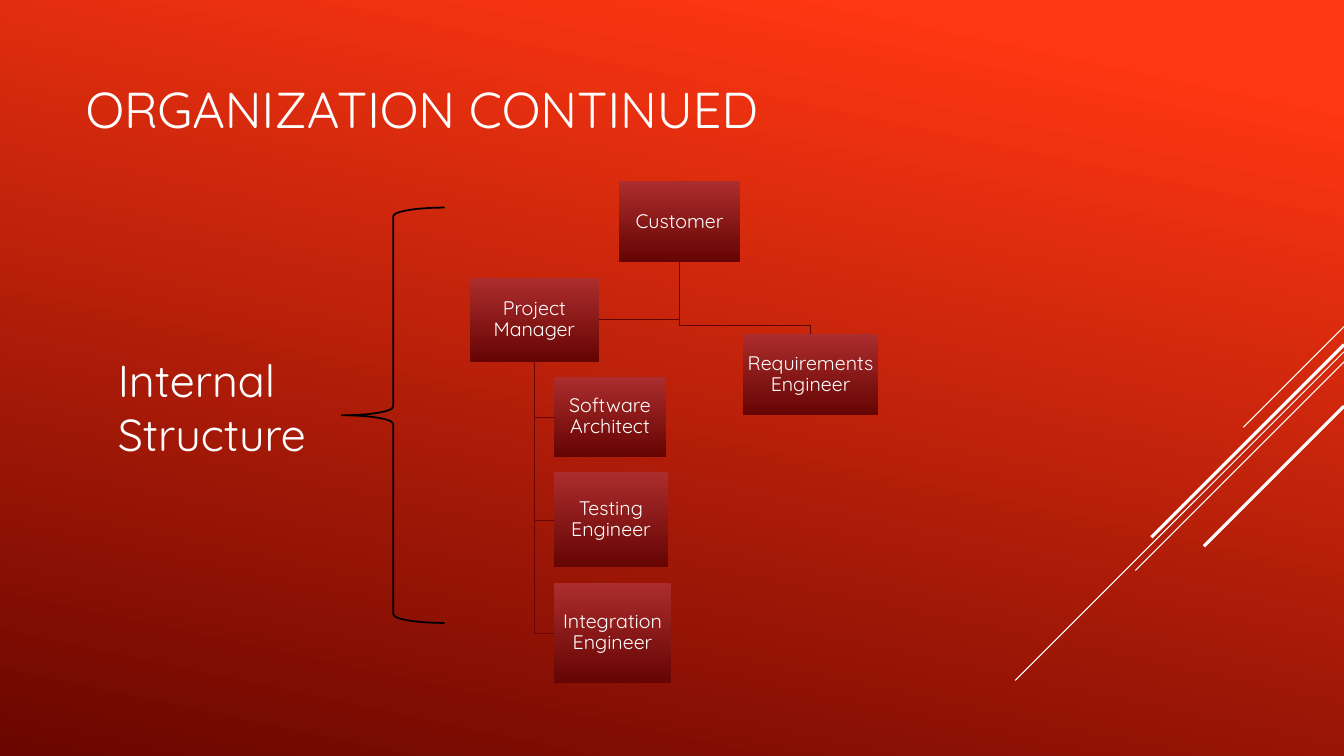
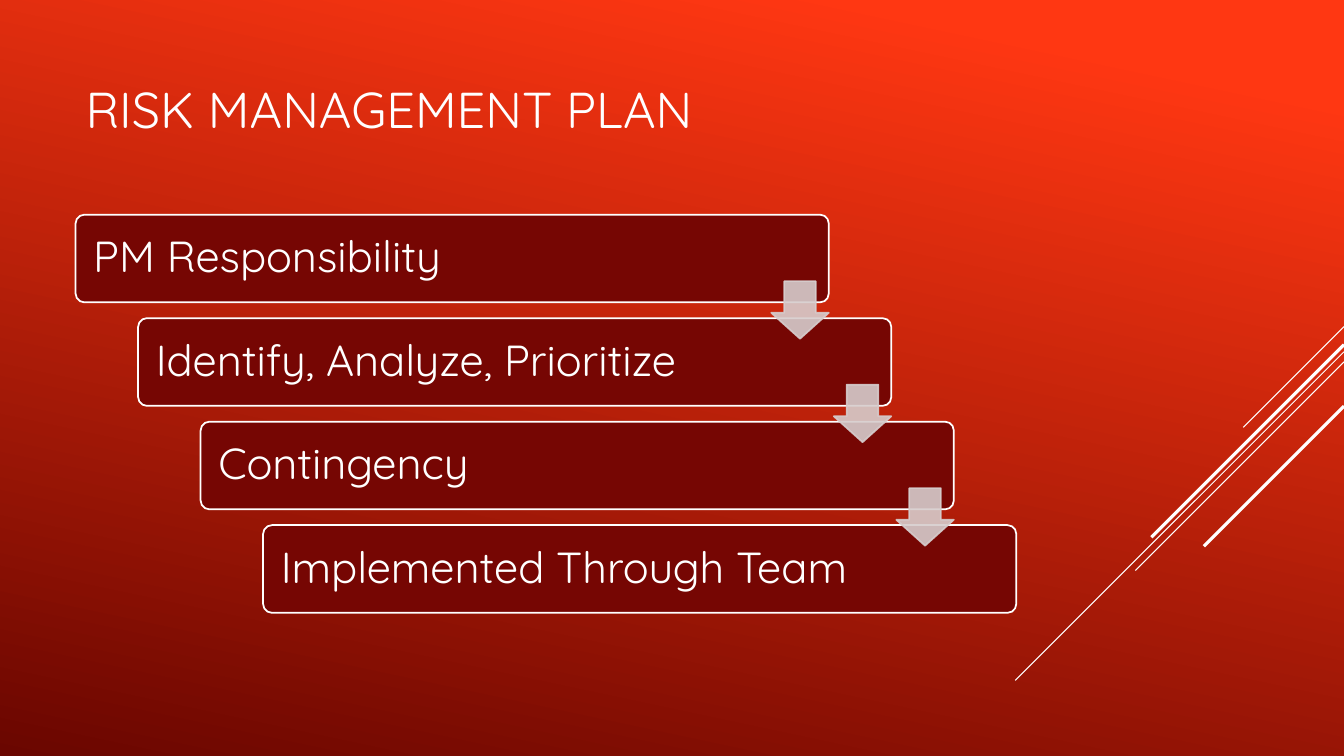
import pptx
import pptx.dml.color
import pptx.enum.shapes
import pptx.enum.text
import pptx.oxml
import pptx.oxml.ns
import pptx.util

Inches = pptx.util.Inches
Pt = pptx.util.Pt
RGBColor = pptx.dml.color.RGBColor
SHAPE = pptx.enum.shapes.MSO_SHAPE
ALIGN = pptx.enum.text.PP_ALIGN
ANCHOR = pptx.enum.text.MSO_ANCHOR

FONT = "Quicksand"
WHITE = RGBColor(0xFF, 0xFF, 0xFF)
BLACK = RGBColor(0, 0, 0)
BG_LIGHT = RGBColor(0xFF, 0x37, 0x12)
BG_DARK = RGBColor(0x6A, 0x06, 0x00)
BOX_TOP = RGBColor(0xAC, 0x2D, 0x2D)
BOX_BOTTOM = RGBColor(0x65, 0x05, 0x03)
LINK_UPPER = RGBColor(0x5E, 0x05, 0x02)
LINK_LOWER = RGBColor(0x6B, 0x05, 0x03)
STEP_FILL = RGBColor(0x76, 0x06, 0x03)
ARROW_FILL = RGBColor(0xD6, 0xCC, 0xCC)

SLIDE_W, SLIDE_H = 13.33, 7.5
DIAGONALS = [(3.24, 1, 0.75), (3.49, 3.26, 0.75), (3.59, 2.07, 0.75),
             (3.42, 1.91, 2.25), (4.03, 1.39, 2.25)]
ROLES = [
    ("Customer", 6.14, 1.8, 1.2, 0.8),
    ("Requirements Engineer", 7.37, 3.31, 1.34, 0.81),
    ("Project Manager", 4.66, 2.76, 1.28, 0.83),
    ("Software Architect", 5.49, 3.74, 1.12, 0.79),
    ("Testing Engineer", 5.49, 4.68, 1.14, 0.95),
    ("Integration Engineer", 5.49, 5.78, 1.17, 1),
]
STEPS = ["PM Responsibility", "Identify, Analyze, Prioritize",
         "Contingency", "Implemented Through Team"]


def set_gradient(fill, stops, angle):
    """Fill with a two-stop linear gradient, the angle running clockwise."""
    fill.gradient()
    fill.gradient_angle = 360 - angle
    for stop, (position, color) in zip(fill.gradient_stops, stops):
        stop.position = position
        stop.color.rgb = color


def set_line(s, color, width):
    """Give a shape or connector a solid line."""
    s.line.color.rgb = color
    s.line.width = Pt(width)


def set_alpha(s, percent):
    """Make the fill and line of a shape partly transparent."""
    for color in s._element.spPr.iter(pptx.oxml.ns.qn("a:srgbClr")):
        alpha = pptx.oxml.parse_xml(
            f'<a:alpha {pptx.oxml.ns.nsdecls("a")} val="{percent * 1000}"/>')
        color.append(alpha)


def write_text(s, text, size, align=ALIGN.LEFT, inset=None, spacing=None,
               anchor=ANCHOR.MIDDLE):
    """Write one white paragraph into a shape or text box."""
    tf = s.text_frame
    tf.word_wrap = True
    tf.vertical_anchor = anchor
    if inset is not None:
        tf.margin_left = tf.margin_right = Inches(inset)
        tf.margin_top = tf.margin_bottom = Inches(inset)
    p = tf.paragraphs[0]
    p.alignment = align
    p.line_spacing = spacing
    r = p.add_run()
    r.text = text
    r.font.name = FONT
    r.font.size = Pt(size)
    r.font.color.rgb = WHITE


def add_text(slide, text, box, size, anchor):
    """Add a text box."""
    s = slide.shapes.add_textbox(*map(Inches, box))
    write_text(s, text, size, anchor=anchor)


def add_shape(slide, kind, box, adjustments=()):
    """Add a preset shape without shadow."""
    s = slide.shapes.add_shape(kind, *map(Inches, box))
    s.shadow.inherit = False
    for i, value in enumerate(adjustments):
        s.adjustments[i] = value
    return s


def add_diagonal(slide, top, reach, width):
    """Add a 45 degree line running down from the right edge."""
    s = slide.shapes.add_connector(
        pptx.enum.shapes.MSO_CONNECTOR.STRAIGHT, Inches(SLIDE_W), Inches(top),
        Inches(SLIDE_W - reach), Inches(top + reach))
    set_line(s, WHITE, width)
    s._element.spPr.append(pptx.oxml.parse_xml(
        f'<a:effectLst {pptx.oxml.ns.nsdecls("a")}/>'))


def add_link(slide, points, color):
    """Add an angled line through the given points."""
    points = [(Inches(x), Inches(y)) for x, y in points]
    builder = slide.shapes.build_freeform(*points[0])
    builder.add_line_segments(points[1:], close=False)
    s = builder.convert_to_shape()
    s.shadow.inherit = False
    s.fill.background()
    set_line(s, color, 0.75)


def add_role(slide, name, *box):
    """Add one box of the organization chart."""
    s = add_shape(slide, SHAPE.RECTANGLE, box)
    set_gradient(s.fill, [(0, BOX_TOP), (1, BOX_BOTTOM)], 90)
    s.line.fill.background()
    write_text(s, name, 14, ALIGN.CENTER, 0.01, 0.9)


def add_step(slide, text, left, top):
    """Add one bar of the staircase."""
    s = add_shape(slide, SHAPE.ROUNDED_RECTANGLE, (left, top, 7.47, 0.87), [0.1])
    s.fill.solid()
    s.fill.fore_color.rgb = STEP_FILL
    set_line(s, WHITE, 1.25)
    write_text(s, text, 31, inset=0.15, spacing=0.9)


def add_step_arrow(slide, left, top):
    """Add a translucent arrow leading to the next step."""
    s = add_shape(slide, SHAPE.DOWN_ARROW, (left, top, 0.57, 0.57), [0.55, 0.45])
    s.fill.solid()
    s.fill.fore_color.rgb = ARROW_FILL
    set_line(s, ARROW_FILL, 1.25)
    set_alpha(s, 90)


def add_slide(prs, title):
    """Add a slide with the shared diagonals and title."""
    slide = prs.slides.add_slide(prs.slide_layouts[6])
    for diagonal in DIAGONALS:
        add_diagonal(slide, *diagonal)
    add_text(slide, title, (0.75, 0.25, 9.33, 1.65), 36, ANCHOR.MIDDLE)
    return slide


def build_organization(prs):
    """Build the organization chart slide."""
    slide = add_slide(prs, "ORGANIZATION CONTINUED")
    for y in (6.28, 5.16, 4.14):
        add_link(slide, [(5.3, 3.59), (5.3, y), (5.49, y)], LINK_LOWER)
    add_link(slide, [(6.74, 2.6), (6.74, 3.17), (5.94, 3.17)], LINK_UPPER)
    add_link(slide, [(6.74, 2.6), (6.74, 3.23), (8.04, 3.23), (8.04, 3.31)],
             LINK_UPPER)
    for role in ROLES:
        add_role(slide, *role)
    add_text(slide, "Internal Structure", (1.07, 3.45, 2.17, 1.18), 32, ANCHOR.TOP)
    brace = add_shape(slide, SHAPE.LEFT_BRACE, (3.39, 2.06, 1.02, 4.12))
    brace.fill.background()
    set_line(brace, BLACK, 1.25)


def build_risk_plan(prs):
    """Build the risk management staircase slide."""
    slide = add_slide(prs, "RISK MANAGEMENT PLAN")
    corners = [(0.75 + 0.62 * i, 2.13 + 3.08 * i / 3) for i in range(len(STEPS))]
    for text, (left, top) in zip(STEPS, corners):
        add_step(slide, text, left, top)
    for left, top in corners[:-1]:
        add_step_arrow(slide, left + 6.9, top + 0.66)


def main():
    """Build and save the presentation."""
    prs = pptx.Presentation()
    prs.slide_width = Inches(SLIDE_W)
    prs.slide_height = Inches(SLIDE_H)
    set_gradient(prs.slide_master.background.fill,
                 [(0.1, BG_LIGHT), (1, BG_DARK)], 102)
    build_organization(prs)
    build_risk_plan(prs)
    prs.save("out.pptx")


main()
